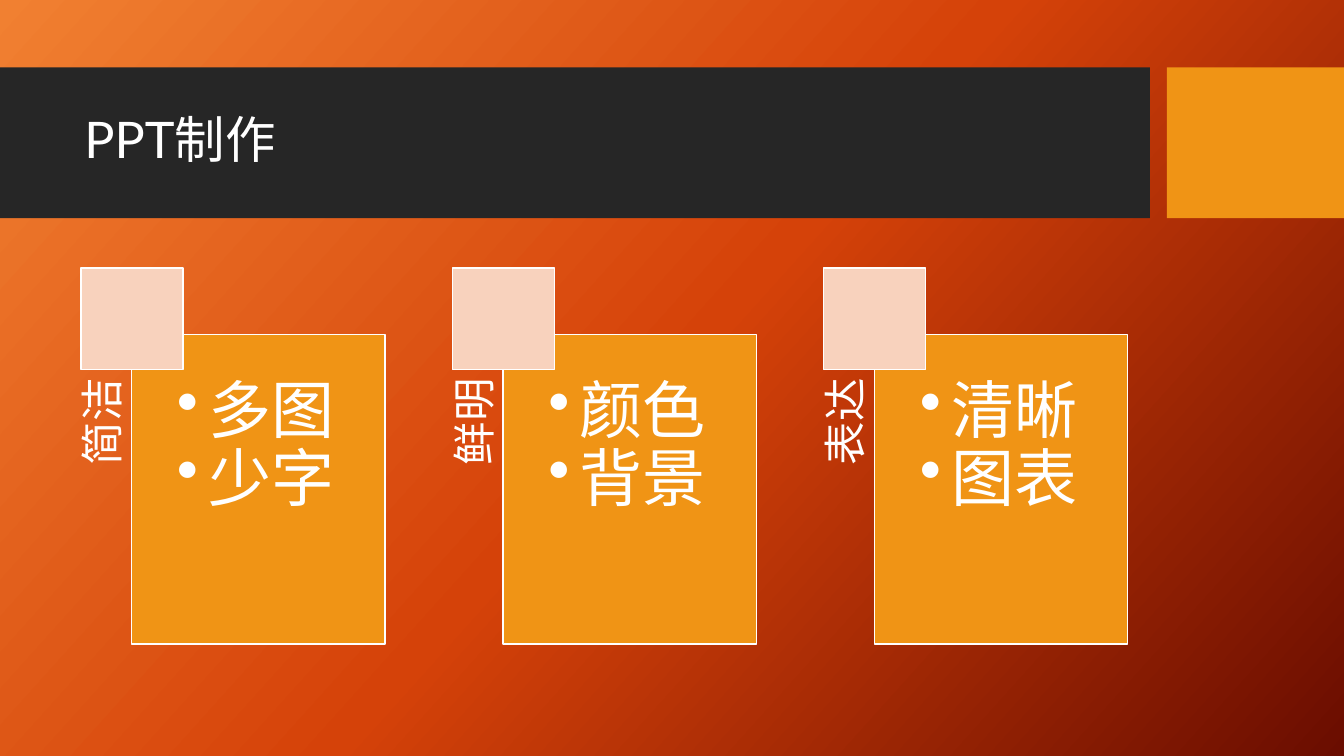
from copy import deepcopy

from pptx import Presentation
from pptx.dml.color import RGBColor
from pptx.enum.shapes import MSO_SHAPE as Shape
from pptx.enum.text import MSO_ANCHOR as Anchor, PP_ALIGN as Align
from pptx.oxml.ns import qn
from pptx.oxml.xmlchemy import OxmlElement
from pptx.util import Cm, Pt

WHITE, ORANGE, DARK, PEACH = "FFFFFF", "F09415", "262626", "F8D2BD"
BACKDROP = [(0, "F18031"), (0.5, "D54209"), (1, "6A0D00")]
TOPICS = [
    ("简洁", ["多图", "少字"]),
    ("鲜明", ["颜色", "背景"]),
    ("表达", ["清晰", "图表"]),
]
FIRST_LEFT, TOPIC_STEP = 2.04, 9.36


def color(value):
    return RGBColor.from_string(value)


def assign(target, values):
    for name, value in values.items():
        setattr(target, name, value)


class SlideBuilder:
    font = "Lato"

    def __init__(self, page):
        self.page = page

    def backdrop(self, stops, angle):
        fill = self.page.background.fill
        fill.gradient()
        fill.gradient_angle = 360 - angle
        stop_list = next(self.page.element.iter(qn("a:gsLst")))
        stop_list.insert(1, deepcopy(stop_list[0]))
        for stop, (position, value) in zip(fill.gradient_stops, stops):
            stop.position = position
            stop.color.rgb = color(value)

    def block(self, area, fill, line=None):
        box = self.page.shapes.add_shape(Shape.RECTANGLE, *map(Cm, area))
        box.shadow.inherit = False
        box.fill.solid()
        box.fill.fore_color.rgb = color(fill)
        if line:
            box.line.color.rgb = color(line)
            box.line.width = Pt(1)
        else:
            box.line.fill.background()
        return box

    def text_box(self, area, rotation=0):
        box = self.page.shapes.add_textbox(*map(Cm, area))
        box.rotation = rotation
        return box

    def add_text(self, box, lines, size, insets, anchor=Anchor.TOP, align=Align.LEFT, bullet=None):
        frame = box.text_frame
        sides = ("margin_left", "margin_top", "margin_right", "margin_bottom")
        assign(frame, dict(zip(sides, map(Cm, insets))))
        assign(frame, {"word_wrap": True, "vertical_anchor": anchor})
        for index, line in enumerate(lines):
            para = frame.add_paragraph() if index else frame.paragraphs[0]
            assign(para, {"alignment": align, "line_spacing": 0.9})
            span = para.add_run()
            span.text = line
            assign(span.font, {"name": self.font, "size": Pt(size)})
            span.font.color.rgb = color(WHITE)
            if bullet:
                self.add_bullet(para, bullet)

    def add_bullet(self, para, symbol):
        properties = para._p.get_or_add_pPr()
        properties.set("marL", str(Cm(0.79)))
        properties.set("indent", str(-Cm(0.79)))
        mark = OxmlElement("a:buChar")
        mark.set("char", symbol)
        properties.append(mark)

    def topic(self, left, label, points):
        side = self.text_box((left - 3.26, 11.68, 7.8, 1.27), 270)
        self.add_text(side, [label], 31, (0, 0, 1.12, 0), align=Align.RIGHT)
        panel = self.block((left + 1.28, 8.43, 6.38, 7.8), ORANGE, WHITE)
        self.add_text(panel, points, 45, (1.14, 1.12, 1.14, 1.14), bullet="•")
        self.block((left, 6.75, 2.57, 2.57), PEACH, WHITE)


def main():
    deck = Presentation()
    assign(deck, {"slide_width": Cm(33.87), "slide_height": Cm(19.05)})
    builder = SlideBuilder(deck.slides.add_slide(deck.slide_layouts[6]))
    builder.backdrop(BACKDROP, 42)
    builder.block((0, 1.7, 28.98, 3.8), DARK)
    builder.block((29.41, 1.7, 4.46, 3.8), ORANGE)
    title = builder.text_box((1.88, 2.08, 26.7, 3))
    builder.add_text(title, ["PPT制作"], 36, (0.25, 0.13, 0.25, 0.13), Anchor.MIDDLE)
    for index, (label, points) in enumerate(TOPICS):
        builder.topic(FIRST_LEFT + index * TOPIC_STEP, label, points)
    deck.save("out.pptx")


if __name__ == "__main__":
    main()
